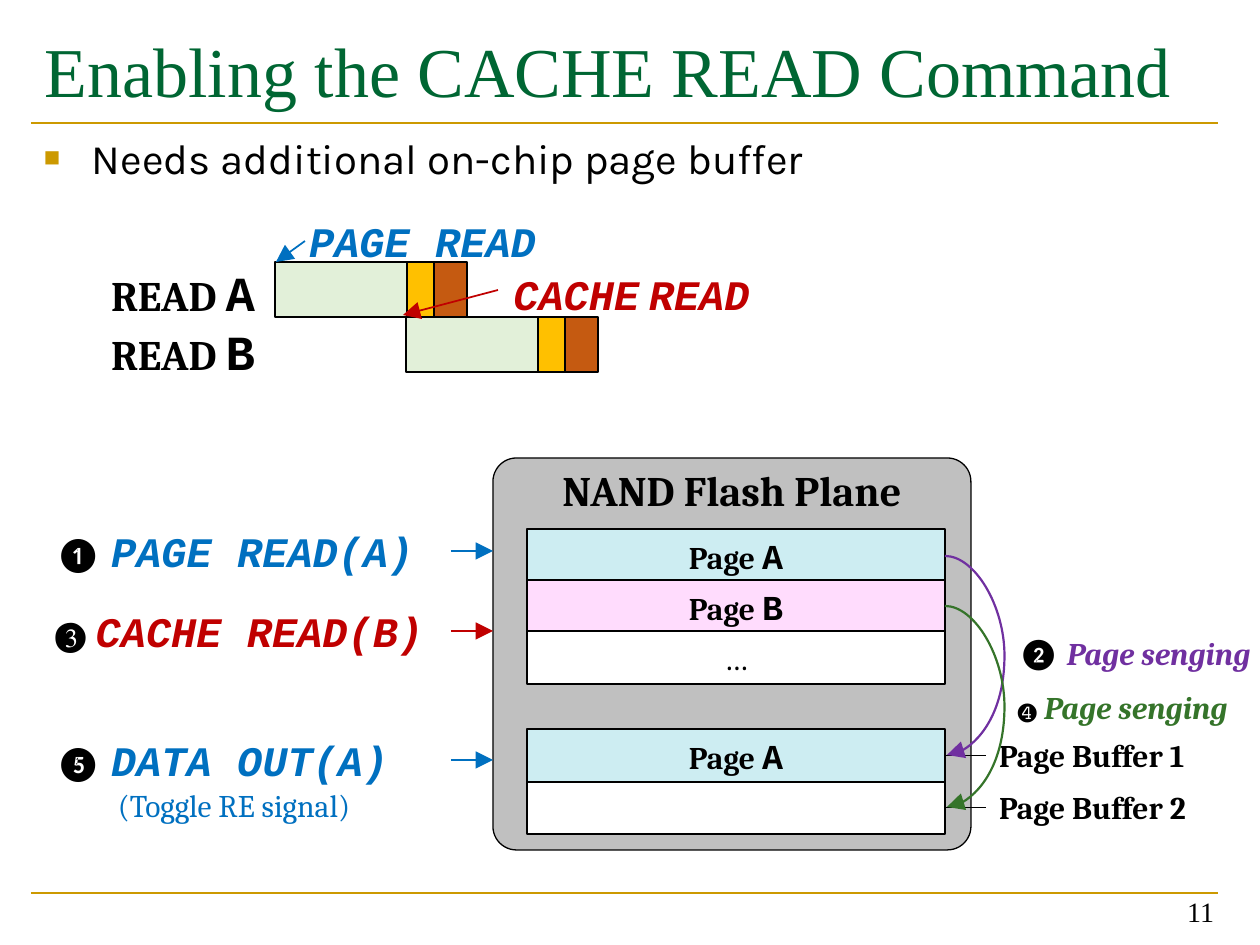
from typing import Any, NamedTuple

import lxml.etree
import pptx
import pptx.dml.color
import pptx.enum.shapes
import pptx.enum.text
import pptx.oxml.ns
import pptx.util

EMU_PER_PX = 914400 / 126
SHAPE = pptx.enum.shapes.MSO_SHAPE
CONNECTOR = pptx.enum.shapes.MSO_CONNECTOR
ALIGN = pptx.enum.text.PP_ALIGN
ANCHOR = pptx.enum.text.MSO_ANCHOR

BLACK, WHITE, GOLD = "000000", "FFFFFF", "CC9900"
BLUE, RED, PURPLE, GREEN = "0070C0", "C00000", "7030A0", "35742A"
PAGE_A, PAGE_B = "CDEDF2", "FFDCFD"
RIGHT_SIDE, LEFT_SIDE = 3, 1
SERIF, MONO, SANS, TITLE = "Cambria", "Courier New", "Calibri", "Times New Roman"


class Command(NamedTuple):
    number: str
    number_font: str
    text: str
    color: str
    top: int


class Cell(NamedTuple):
    text: str
    letter: str
    fill: str
    top: int


class Sending(NamedTuple):
    number: str
    number_font: str
    color: str
    label_top: int
    start_y: int
    end_y: int


class Read(NamedTuple):
    letter: str
    label_top: int
    bar_left: int
    bar_top: int


COMMANDS = [
    Command("❶", SANS, "PAGE READ(A)", BLUE, 519),
    Command("❸", SERIF, "CACHE READ(B)", RED, 599),
    Command("❺", SANS, "DATA OUT(A)", BLUE, 728),
]
CELLS = [
    Cell("Page ", "A", PAGE_A, 529),
    Cell("Page ", "B", PAGE_B, 580),
    Cell("…", "", WHITE, 631),
]
BUFFERS = [
    Cell("", "", WHITE, 781),
    Cell("Page ", "A", PAGE_A, 729),
]
SENDINGS = [
    Sending("❷", SANS, PURPLE, 628, 556, 755),
    Sending("❹", MONO, GREEN, 682, 606, 807),
]
READS = [Read("A", 262, 275, 262), Read("B", 321, 406, 317)]
BAR_PARTS = [(132, "E2F0D9"), (27, "FFC000"), (33, "C55A11")]


def px(value: float) -> int:
    return pptx.util.Emu(round(value * EMU_PER_PX))


def rgb(value: str) -> pptx.dml.color.RGBColor:
    return pptx.dml.color.RGBColor.from_string(value)


def add_xml(parent: Any, tag: str, **attributes: str) -> Any:
    return lxml.etree.SubElement(parent, pptx.oxml.ns.qn(tag), attributes)


def write(para: Any, text: str, *, size: float, font: str = SERIF, color: str = BLACK,
          bold: bool = False, italic: bool = False) -> None:
    span = para.add_run()
    span.text = text
    span.font.size = pptx.util.Pt(size)
    span.font.name = font
    span.font.bold = bold
    span.font.italic = italic
    span.font.color.rgb = rgb(color)


def set_frame(box: Any, anchor: Any, align: Any, insets: tuple[int, int, int, int]) -> Any:
    frame = box.text_frame
    frame.word_wrap = True
    frame.vertical_anchor = anchor
    frame.margin_left, frame.margin_top, frame.margin_right, frame.margin_bottom = map(px, insets)
    para = frame.paragraphs[0]
    para.alignment = align
    return para


def add_text(page: Any, left: int, top: int, width: int, height: int, *,
             anchor: Any = ANCHOR.TOP, align: Any = ALIGN.LEFT,
             insets: tuple[int, int, int, int] = (13, 6, 13, 6)) -> tuple[Any, Any]:
    box = page.shapes.add_textbox(px(left), px(top), px(width), px(height))
    return box, set_frame(box, anchor, align, insets)


def add_block(shapes: Any, left: int, top: int, width: int, height: int, fill: str, *,
              line: float = 0.75, kind: Any = SHAPE.RECTANGLE) -> Any:
    block = shapes.add_shape(kind, px(left), px(top), px(width), px(height))
    block.shadow.inherit = False
    block.fill.solid()
    block.fill.fore_color.rgb = rgb(fill)
    block.line.color.rgb = rgb(BLACK)
    block.line.width = pptx.util.Pt(line)
    return block


def add_line(page: Any, x1: int, y1: int, x2: int, y2: int, color: str, width: float, *,
             arrow: bool = False, kind: Any = CONNECTOR.STRAIGHT) -> Any:
    line = page.shapes.add_connector(kind, px(x1), px(y1), px(x2), px(y2))
    line.line.color.rgb = rgb(color)
    line.line.width = pptx.util.Pt(width)
    if arrow:
        add_xml(line.line._get_or_add_ln(), "a:tailEnd", type="triangle", w="lg", len="lg")
    add_xml(line._element.spPr, "a:effectLst")
    return line


def add_read(page: Any, read: Read) -> None:
    group = page.shapes.add_group_shape()
    left = read.bar_left
    for width, fill in BAR_PARTS:
        add_block(group.shapes, left, read.bar_top, width, 55, fill, line=1.25)
        left += width
    _, para = add_text(page, 62, read.label_top, 232, 59, anchor=ANCHOR.MIDDLE,
                       align=ALIGN.CENTER, insets=(10, 0, 0, 0))
    write(para, "READ ", size=24, bold=True)
    write(para, read.letter, size=28, font=MONO, bold=True)


def add_cell(page: Any, cell: Cell) -> Any:
    block = add_block(page.shapes, 527, cell.top, 418, 53, cell.fill)
    para = set_frame(block, ANCHOR.MIDDLE, ALIGN.CENTER, (0, 0, 0, 0))
    if cell.text:
        write(para, cell.text, size=18, bold=bool(cell.letter))
    if cell.letter:
        write(para, cell.letter, size=20, font=MONO, bold=True)
    return block


def add_command(page: Any, command: Command) -> None:
    box, para = add_text(page, 42, command.top, 409, 64, anchor=ANCHOR.MIDDLE)
    write(para, command.number, size=20, font=command.number_font)
    write(para, " ", size=24, font=SANS)
    write(para, command.text, size=24, font=MONO, color=command.color, bold=True, italic=True)
    middle = command.top + 32
    arrow = add_line(page, 451, middle, 493, middle, command.color, 1.25, arrow=True)
    arrow.begin_connect(box, RIGHT_SIDE)


def add_sending(page: Any, sending: Sending) -> None:
    start_x, end_x, bulge_x = 945, 947, 1005
    curve = add_line(page, start_x, sending.start_y, end_x, sending.end_y, sending.color, 1.25,
                     arrow=True, kind=CONNECTOR.CURVE)
    bulge = 100000 * (bulge_x - start_x) // (end_x - start_x)
    geometry = curve._element.spPr.find(pptx.oxml.ns.qn("a:prstGeom"))
    guides = geometry.find(pptx.oxml.ns.qn("a:avLst"))
    add_xml(guides, "a:gd", name="adj1", fmla=f"val {bulge}")
    _, para = add_text(page, 1005, sending.label_top, 263, 50)
    write(para, sending.number, size=18, font=sending.number_font)
    write(para, " ", size=18, font=SANS)
    write(para, "Page senging", size=18, color=sending.color, bold=True, italic=True)


def add_callout(page: Any, words: list[tuple[str, str]], color: str, left: int, top: int,
                arrow: tuple[int, int, int, int]) -> None:
    add_line(page, *arrow, color, 1, arrow=True)
    _, para = add_text(page, left, top, 277, 63, anchor=ANCHOR.MIDDLE, align=ALIGN.CENTER)
    for text, font in words:
        write(para, text, size=24, font=font, color=color, bold=True, italic=True)


def add_heading(page: Any) -> None:
    for y in (123, 893):
        add_line(page, 31, y, 1218, y, GOLD, 1.5)
    _, para = add_text(page, 32, 21, 1187, 91, anchor=ANCHOR.BOTTOM, insets=(13, 0, 0, 0))
    write(para, "Enabling the CACHE READ Command", size=40, font=TITLE, color="006633")

    _, para = add_text(page, 31, 126, 1187, 70)
    para.space_before = pptx.util.Pt(4.8)
    write(para, "Needs additional on-chip page buffer", size=24, font="Karla")
    properties = para._p.get_or_add_pPr()
    properties.set("marL", str(px(48)))
    properties.set("indent", str(-px(48)))
    add_xml(add_xml(properties, "a:buClr"), "a:srgbClr", val=GOLD)
    add_xml(properties, "a:buSzPct", val="65000")
    add_xml(properties, "a:buFont", typeface=TITLE)
    add_xml(properties, "a:buChar", char="■")

    _, para = add_text(page, 934, 871, 293, 63, anchor=ANCHOR.BOTTOM, align=ALIGN.RIGHT)
    write(para, "11", size=16, font=TITLE)


def main() -> None:
    deck = pptx.Presentation()
    deck.slide_width, deck.slide_height = px(1260), px(945)
    page = deck.slides.add_slide(deck.slide_layouts[6])
    add_heading(page)

    for read in READS:
        add_read(page, read)
    cache_words = [("CACHE", MONO), (" ", SANS), ("READ", MONO)]
    add_callout(page, cache_words, RED, 493, 262, (498, 290, 403, 315))
    add_callout(page, [("PAGE READ", MONO)], BLUE, 284, 209, (305, 241, 276, 262))

    plane = add_block(page.shapes, 493, 458, 478, 392, "C0C0C0", kind=SHAPE.ROUNDED_RECTANGLE)
    plane.adjustments[0] = 0.06
    para = set_frame(plane, ANCHOR.TOP, ALIGN.CENTER, (0, 0, 0, 0))
    write(para, "NAND Flash Plane", size=24, bold=True)

    for cell in CELLS:
        add_cell(page, cell)
    second, first = [add_cell(page, cell) for cell in BUFFERS]
    for number, block, top in ((1, first, 730), (2, second, 782)):
        box, para = add_text(page, 986, top, 232, 51)
        write(para, f"Page Buffer {number}", size=18, bold=True)
        link = add_line(page, 945, top + 25, 986, top + 25, BLACK, 0.75)
        link.begin_connect(block, RIGHT_SIDE)
        link.end_connect(box, LEFT_SIDE)

    for command in COMMANDS:
        add_command(page, command)
    for sending in SENDINGS:
        add_sending(page, sending)
    _, para = add_text(page, 105, 780, 325, 50)
    write(para, "(Toggle RE signal)", size=18, color=BLUE)
    deck.save("out.pptx")


if __name__ == "__main__":
    main()
